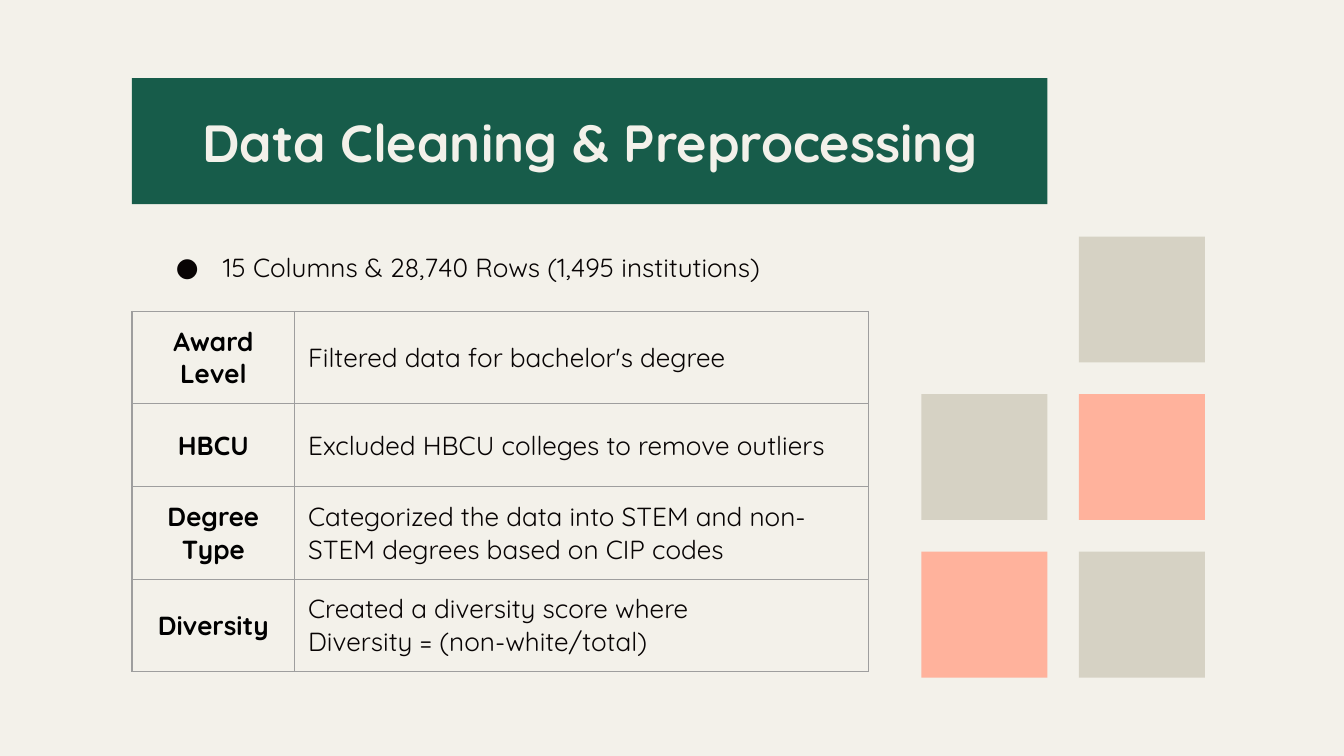
"""Build the data cleaning and preprocessing slide."""
import pptx
import pptx.util
import pptx.dml.color
import pptx.enum.shapes
import pptx.enum.text
import pptx.oxml
import pptx.oxml.ns

Pt = pptx.util.Pt
RGB = pptx.dml.color.RGBColor.from_string
ALIGN = pptx.enum.text.PP_ALIGN
MIDDLE = pptx.enum.text.MSO_ANCHOR.MIDDLE
COLORS = {
    "cream": "F3F1EA",
    "green": "175C4A",
    "coral": "FFB29C",
    "sand": "D6D2C4",
    "black": "000000",
    "ink": "080404",
    "rule": "9E9E9E",
}
INSETS = dict.fromkeys(("margin_left", "margin_top", "margin_right", "margin_bottom"), Pt(7.2))
NS = pptx.oxml.ns.nsdecls("a")


def write(paragraph, text, size, color, bold=False, align=ALIGN.LEFT):
    paragraph.text = text
    paragraph.alignment = align
    for name, value in {"name": "Quicksand", "size": Pt(size), "bold": bold}.items():
        setattr(paragraph.font, name, value)
        for run in paragraph.runs:
            setattr(run.font, name, value)
    for run in paragraph.runs:
        run.font.color.rgb = RGB(COLORS[color])


def apply(target, values):
    for name, value in values.items():
        setattr(target, name, value)


deck = pptx.Presentation()
apply(deck, {"slide_width": Pt(720), "slide_height": Pt(405)})
slide = deck.slides.add_slide(deck.slide_layouts[5])
slide.background.fill.solid()
slide.background.fill.fore_color.rgb = RGB(COLORS["cream"])

SIDE, STEP = 67.5, 84.4
squares = [(1, 1, "coral"), (0, 2, "coral"), (1, 0, "sand"), (0, 1, "sand"), (1, 2, "sand")]
for column, row, color in squares:
    square = slide.shapes.add_shape(
        pptx.enum.shapes.MSO_SHAPE.RECTANGLE,
        Pt(493.6 + column * STEP), Pt(126.7 + row * STEP), Pt(SIDE), Pt(SIDE))
    square.shadow.inherit = False
    square.fill.solid()
    square.fill.fore_color.rgb = RGB(COLORS[color])
    square.line.fill.background()

heading = slide.shapes.title
apply(heading, {"left": Pt(70.7), "top": Pt(41.9), "width": Pt(490.4), "height": Pt(SIDE)})
heading.fill.solid()
heading.fill.fore_color.rgb = RGB(COLORS["green"])
apply(heading.text_frame, INSETS | {
    "vertical_anchor": MIDDLE, "word_wrap": True,
    "auto_size": pptx.enum.text.MSO_AUTO_SIZE.NONE})
write(heading.text_frame.paragraphs[0], "Data Cleaning & Preprocessing", 28, "cream", True, ALIGN.CENTER)

steps = [
    ("Award Level", "Filtered data for bachelor's degree"),
    ("HBCU", "Excluded HBCU colleges to remove outliers"),
    ("Degree Type", "Categorized the data into STEM and non-STEM degrees based on CIP codes"),
    ("Diversity", "Created a diversity score where\vDiversity = (non-white/total)"),
]
ROW_HEIGHT = 44.6
step_table = slide.shapes.add_table(
    len(steps), 2, Pt(70.7), Pt(166.8), Pt(394.7), Pt(ROW_HEIGHT * len(steps))).table
apply(step_table, {"first_row": False, "horz_banding": False})
for column, width in zip(step_table.columns, (87.2, 307.5)):
    column.width = Pt(width)
for row, step in zip(step_table.rows, steps):
    row.height = Pt(ROW_HEIGHT)
    for cell, text, is_label in zip(row.cells, step, (True, False)):
        apply(cell, INSETS | {"vertical_anchor": MIDDLE})
        entry = cell.text_frame.paragraphs[0]
        if is_label:
            write(entry, text, 14, "black", True, ALIGN.CENTER)
        else:
            write(entry, text, 14, "ink")
            entry.space_after = Pt(16)
        properties = cell._tc.get_or_add_tcPr()
        for edge in ("lnL", "lnR", "lnT", "lnB"):
            properties.append(pptx.oxml.parse_xml(
                f'<a:{edge} {NS} w="{Pt(0.75)}"><a:solidFill>'
                f'<a:srgbClr val="{COLORS["rule"]}"/></a:solidFill></a:{edge}>'))
        cell.fill.background()

dataset_size = slide.shapes.add_textbox(Pt(76.3), Pt(127.4), Pt(349.2), Pt(32.4)).text_frame
apply(dataset_size, INSETS | {"word_wrap": True})
bullet = dataset_size.paragraphs[0]
write(bullet, "15 Columns & 28,740 Rows (1,495 institutions)", 14, "ink")
bullet_format = bullet._p.get_or_add_pPr()
bullet_format.set("marL", str(Pt(36)))
bullet_format.set("indent", str(Pt(-25.2)))
for index, xml in enumerate((
        f'<a:buClr {NS}><a:srgbClr val="{COLORS["ink"]}"/></a:buClr>',
        f'<a:buFont {NS} typeface="Quicksand"/>',
        f'<a:buChar {NS} char="●"/>')):
    bullet_format.insert(index, pptx.oxml.parse_xml(xml))

deck.save("out.pptx")
